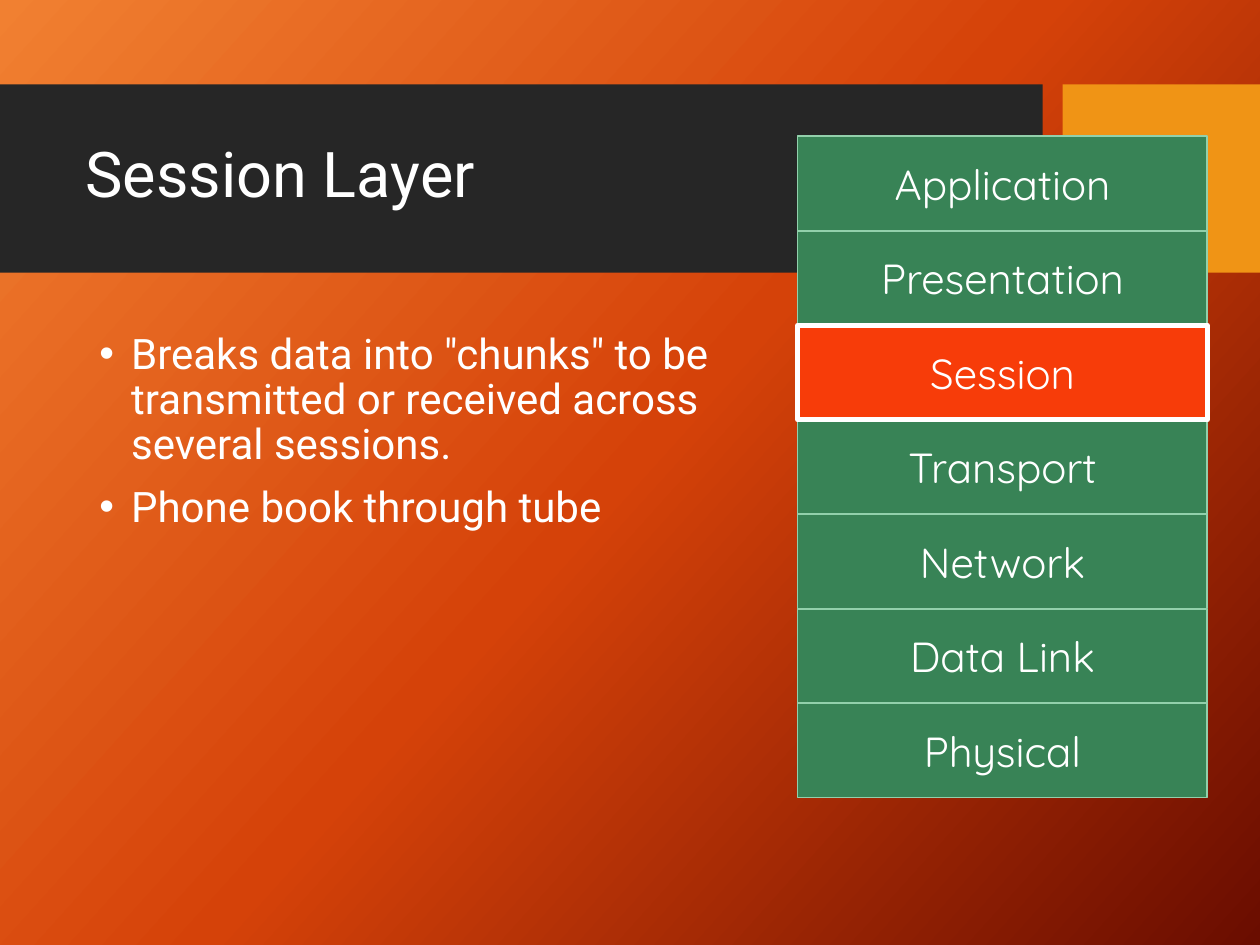
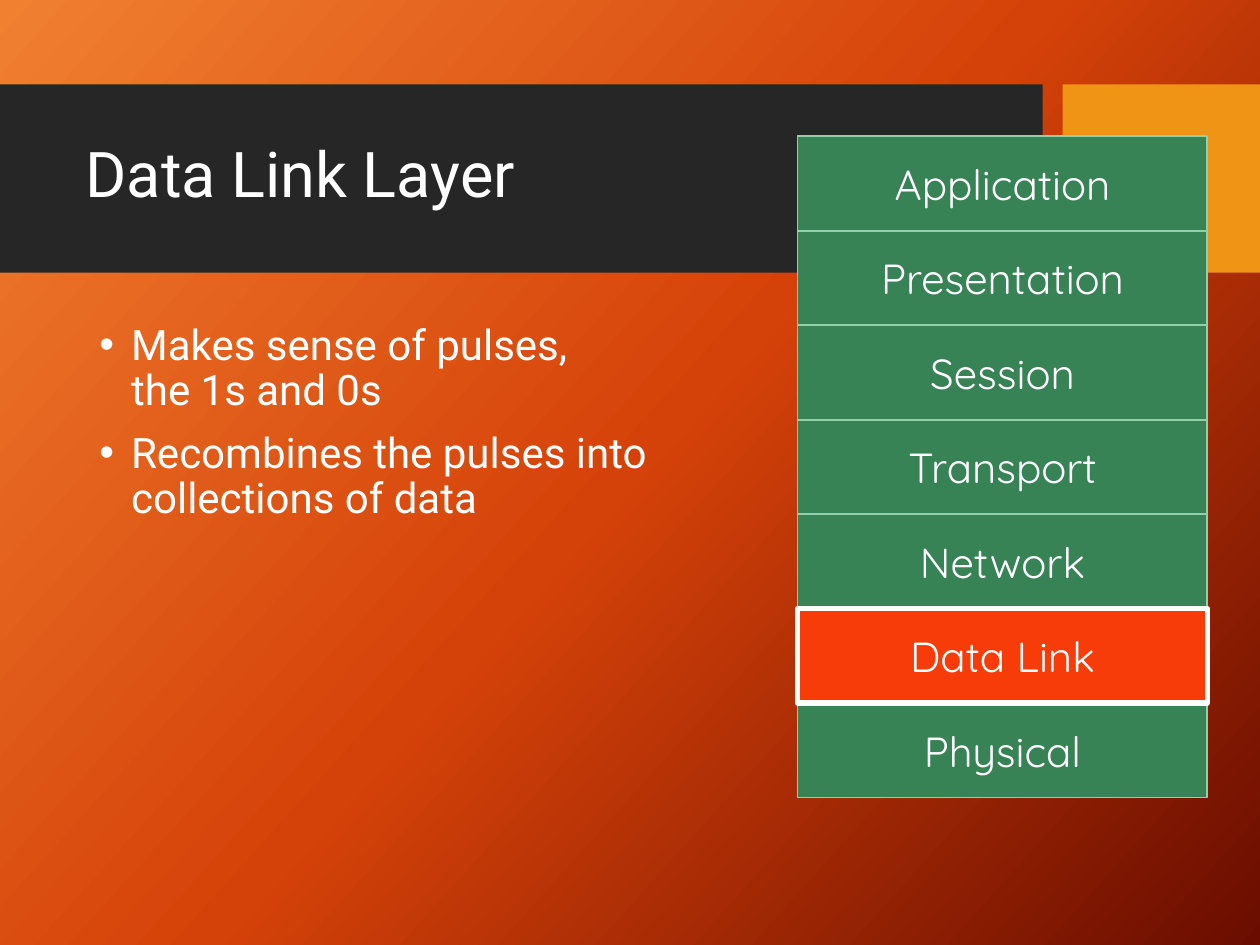
from dataclasses import dataclass

from lxml.etree import SubElement
from pptx import Presentation
from pptx.dml.color import RGBColor
from pptx.enum.shapes import MSO_SHAPE as Preset
from pptx.enum.text import MSO_ANCHOR as Anchor, MSO_AUTO_SIZE as AutoSize, PP_ALIGN as Align
from pptx.oxml import parse_xml
from pptx.oxml.ns import nsdecls, qn
from pptx.shapes.autoshape import Shape
from pptx.slide import Slide, SlideLayout, SlideMaster
from pptx.text.text import _Paragraph as Paragraph
from pptx.util import Cm, Length, Pt

COLORS = {
    "glow": "F18031",
    "ember": "D54209",
    "maroon": "6A0D00",
    "charcoal": "262626",
    "amber": "F09415",
    "green": "388356",
    "mint": "92D0AB",
    "red": "F73C09",
    "white": "FFFFFF",
}
BACKGROUND_STOPS = ((0, "glow"), (50, "ember"), (100, "maroon"))
BACKGROUND_ANGLE = 42

TEXT_FONT = "Roboto"
LAYER_FONT = "Quicksand"
LAYERS = (
    "Application",
    "Presentation",
    "Session",
    "Transport",
    "Network",
    "Data Link",
    "Physical",
)
STACK_LEFT, STACK_TOP = Cm(16.08), Cm(2.75)
STACK_WIDTH, STACK_HEIGHT = Cm(8.26), Cm(13.33)
BAND_TOP, BAND_HEIGHT = Cm(1.7), Cm(3.8)
BULLET_INDENT = Cm(0.64)


@dataclass(frozen=True)
class Band:
    left: Length
    width: Length
    color: str


@dataclass(frozen=True)
class LayerTopic:
    layer: str
    points: tuple[str, ...]
    points_top: Length
    points_height: Length


BANDS = (
    Band(Cm(0), Cm(21.02), "charcoal"),
    Band(Cm(21.42), Cm(3.98), "amber"),
)
TOPICS = (
    LayerTopic(
        "Session",
        (
            'Breaks data into "chunks" to be transmitted or received across several sessions.',
            "Phone book through tube",
        ),
        Cm(6.58),
        Cm(6.53),
    ),
    LayerTopic(
        "Data Link",
        (
            "Makes sense of pulses,\nthe 1s and 0s",
            "Recombines the pulses into collections of data",
        ),
        Cm(6.4),
        Cm(7.24),
    ),
)


def rgb(color: str) -> RGBColor:
    return RGBColor.from_string(COLORS[color])


def place(shape: Shape, left: Length, top: Length, width: Length, height: Length) -> None:
    shape.left, shape.top, shape.width, shape.height = left, top, width, height


def write(paragraph: Paragraph, text: str, font: str, size: int) -> None:
    for index, line in enumerate(text.split("\n")):
        if index:
            paragraph.add_line_break()
        run = paragraph.add_run()
        run.text = line
        run.font.name = font
        run.font.size = Pt(size)
        run.font.color.rgb = rgb("white")


def add_box(
    slide: Slide, left: Length, top: Length, width: Length, height: Length, color: str
) -> Shape:
    box = slide.shapes.add_shape(Preset.RECTANGLE, left, top, width, height)
    box.shadow.inherit = False
    box.fill.solid()
    box.fill.fore_color.rgb = rgb(color)
    box.line.fill.background()
    return box


def paint_background(master: SlideMaster) -> None:
    stops = "".join(
        f'<a:gs pos="{percent * 1000}"><a:srgbClr val="{COLORS[color]}"/></a:gs>'
        for percent, color in BACKGROUND_STOPS
    )
    gradient = parse_xml(
        f'<a:gradFill rotWithShape="1" {nsdecls("a")}><a:gsLst>{stops}</a:gsLst>'
        f'<a:lin ang="{BACKGROUND_ANGLE * 60000}" scaled="0"/></a:gradFill>'
    )
    master.background.fill.solid()
    solid = master.element.find(".//" + qn("p:bgPr")).find(qn("a:solidFill"))
    solid.getparent().replace(solid, gradient)


def move_bands_to_layout(slide: Slide, layout: SlideLayout) -> None:
    first_id = max(shape.shape_id for shape in layout.shapes) + 1
    for index, band in enumerate(BANDS):
        box = add_box(slide, band.left, BAND_TOP, band.width, BAND_HEIGHT, band.color)
        box.element.nvSpPr.cNvPr.id = first_id + index
        layout.shapes.element.insert(2 + index, box.element)


def write_title(slide: Slide, text: str) -> None:
    title = slide.shapes.title
    place(title, Cm(1.47), Cm(2.08), Cm(19.15), Cm(3))
    frame = title.text_frame
    frame.auto_size = AutoSize.NONE
    frame.vertical_anchor = Anchor.MIDDLE
    heading = frame.paragraphs[0]
    heading.alignment = Align.LEFT
    heading.line_spacing = 0.9
    write(heading, text, TEXT_FONT, 36)


def write_points(slide: Slide, topic: LayerTopic) -> None:
    body = slide.placeholders[1]
    place(body, Cm(1.75), topic.points_top, Cm(13.34), topic.points_height)
    frame = body.text_frame
    frame.auto_size = AutoSize.NONE
    for index, text in enumerate(topic.points):
        point = frame.add_paragraph() if index else frame.paragraphs[0]
        properties = point._p.get_or_add_pPr()
        properties.set("marL", str(BULLET_INDENT))
        properties.set("indent", str(-BULLET_INDENT))
        SubElement(properties, qn("a:buFont"), typeface="Arial")
        SubElement(properties, qn("a:buChar"), char="•")
        point.line_spacing = 0.9
        point.space_before = Pt(10 if index else 0)
        write(point, text, TEXT_FONT, 24)


def draw_stack(slide: Slide, current: str) -> None:
    row_height = STACK_HEIGHT // len(LAYERS)
    for row, layer in sorted(enumerate(LAYERS), key=lambda item: item[1] == current):
        active = layer == current
        top = STACK_TOP + row * row_height
        box = add_box(
            slide, STACK_LEFT, top, STACK_WIDTH, row_height, "red" if active else "green"
        )
        box.line.color.rgb = rgb("white" if active else "mint")
        box.line.width = Pt(3 if active else 1)
        box.text_frame.vertical_anchor = Anchor.MIDDLE
        label = box.text_frame.paragraphs[0]
        label.alignment = Align.CENTER
        write(label, layer, LAYER_FONT, 24)


def main() -> None:
    deck = Presentation()
    deck.slide_width, deck.slide_height = Cm(25.4), Cm(19.05)
    layout = deck.slide_layouts[1]
    paint_background(deck.slide_master)
    slides = [deck.slides.add_slide(layout) for _ in TOPICS]
    move_bands_to_layout(slides[0], layout)
    for slide, topic in zip(slides, TOPICS):
        write_title(slide, f"{topic.layer} Layer")
        write_points(slide, topic)
        draw_stack(slide, topic.layer)
    deck.save("out.pptx")


if __name__ == "__main__":
    main()
